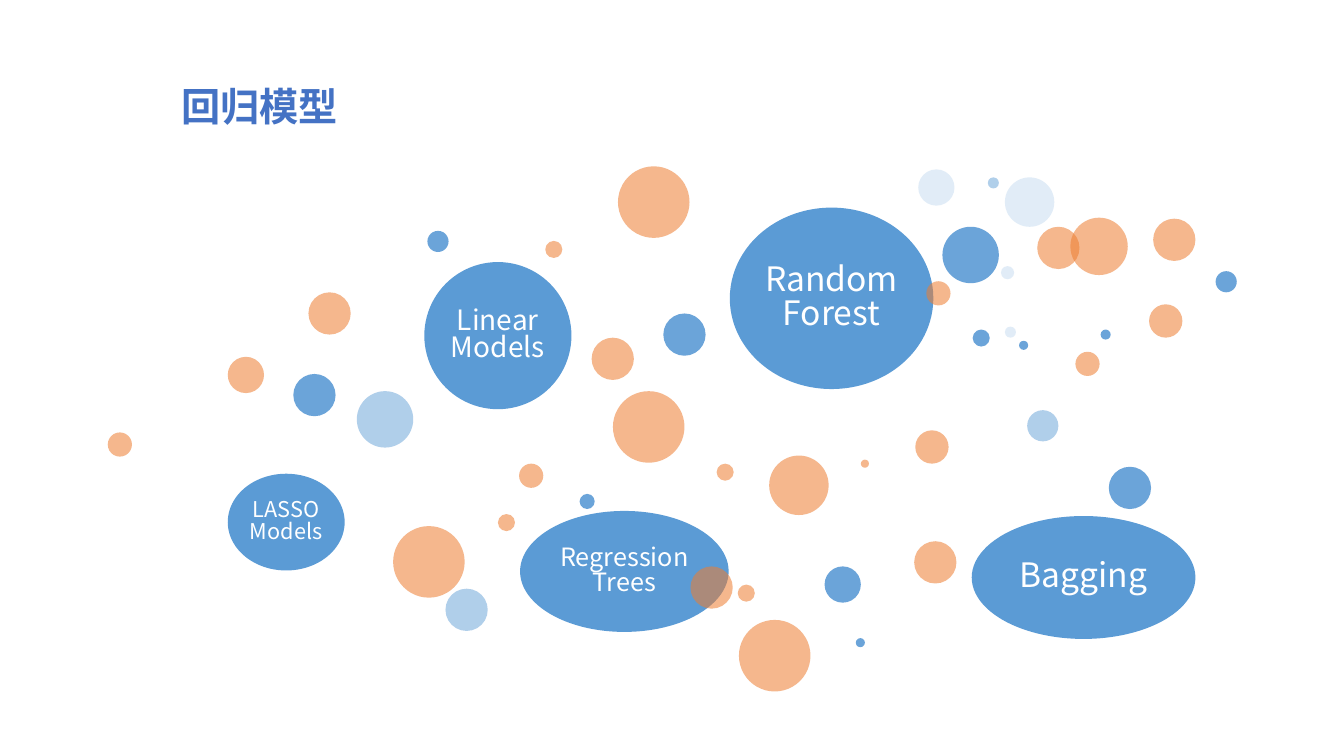
"""Build a slide of regression model bubbles among scattered dots."""
from lxml.etree import SubElement
from pptx import Presentation
from pptx.dml.color import RGBColor
from pptx.enum.shapes import MSO_SHAPE
from pptx.enum.text import MSO_ANCHOR, PP_ALIGN
from pptx.oxml.ns import qn
from pptx.util import Pt

THEME = {
    "font": "Noto Sans CJK SC",
    "blue": "5B9BD5",
    "orange": "ED7D31",
    "title": "4472C4",
    "label": "FFFFFF",
    "title_size": 28,
    "label_sizes": {"small": 15.5, "medium": 18, "large": 20, "huge": 24},
    "label_spacing": 0.83,
}

SLIDE_SIZE = (960, 540)
TITLE = ("回归模型", (122.4, 38.2, 594.7, 74.9))

MODELS = [
    ("LASSO Models", "small", (162.7, 338.4, 83.5, 69.1)),
    ("Linear Models", "large", (303.1, 187.2, 105.1, 105.1)),
    ("Regression Trees", "medium", (371.5, 365, 149, 86.4)),
    ("Random\nForest", "huge", (521.3, 148.3, 145.4, 129.6)),
    ("Bagging", "huge", (694.1, 368.6, 159.8, 87.8)),
]

# (colour, opacity %) -> diameter -> top left corners
DOTS = {
    ("orange", 55): {
        5.8: [(614.9, 328.3)],
        12.2: [(355.7, 367.2), (389.5, 172.1), (527, 417.6), (511.9, 331.2)],
        17.3: [(77, 308.9), (370.8, 331.2), (768.2, 251.3), (661.7, 200.9)],
        23.8: [(820.8, 217.4), (653.8, 307.4)],
        25.9: [(162.7, 254.9)],
        30.2: [(220.3, 208.8), (493.2, 404.6), (740.9, 162),
               (422.6, 241.2), (653, 386.6), (823.7, 156.2)],
        41: [(764.6, 155.5)],
        42.5: [(549.4, 325.4)],
        51.1: [(437.8, 279.4), (441.4, 118.8), (280.8, 375.8), (527.8, 442.8)],
    },
    ("blue", 90): {
        6.5: [(611.3, 455.8), (727.9, 243.4)],
        7.2: [(786.2, 235.4)],
        10.8: [(414, 352.8)],
        12.2: [(694.8, 235.4)],
        15.1: [(305.3, 164.9), (868.3, 193.7)],
        25.9: [(589, 404.6)],
        30.2: [(209.5, 267.1), (473.8, 223.9), (792, 333.4)],
        40.3: [(673.2, 162)],
    },
    ("blue", 48): {
        7.9: [(705.6, 126.7)],
        22.3: [(733.7, 293)],
        30.2: [(318.2, 420.5)],
        40.3: [(254.9, 279.4)],
    },
    ("blue", 18): {
        7.9: [(717.8, 233.3)],
        9.4: [(715, 190.1)],
        25.9: [(655.9, 121)],
        35.3: [(717.8, 126.7)],
    },
}


def add_run(paragraph, text, size, color, bold=False):
    run = paragraph.add_run()
    run.text = text
    run.font.name = THEME["font"]
    run.font.size = Pt(size)
    run.font.bold = bold
    run.font.color.rgb = RGBColor.from_string(THEME[color])
    SubElement(run.font._element, qn("a:ea"), typeface=THEME["font"])


def add_ellipse(slide, box, color, opacity=100):
    ellipse = slide.shapes.add_shape(MSO_SHAPE.OVAL, *map(Pt, box))
    ellipse.shadow.inherit = False
    ellipse.line.fill.background()
    ellipse.fill.solid()
    ellipse.fill.fore_color.rgb = RGBColor.from_string(THEME[color])
    if opacity < 100:
        tint = ellipse._element.spPr.find(qn("a:solidFill"))[0]
        SubElement(tint, qn("a:alpha"), val=str(opacity * 1000))
    return ellipse


def add_model(slide, name, size, box):
    frame = add_ellipse(slide, box, "blue").text_frame
    frame.word_wrap = True
    frame.vertical_anchor = MSO_ANCHOR.MIDDLE
    frame.margin_left = frame.margin_right = Pt(0)
    frame.margin_top = frame.margin_bottom = Pt(0)
    label = frame.paragraphs[0]
    label.alignment = PP_ALIGN.CENTER
    label.line_spacing = THEME["label_spacing"]
    for index, line in enumerate(name.split("\n")):
        if index:
            label.add_line_break()
        add_run(label, line, THEME["label_sizes"][size], "label")


def add_title(slide, text, box):
    frame = slide.shapes.add_textbox(*map(Pt, box)).text_frame
    frame.word_wrap = True
    frame.vertical_anchor = MSO_ANCHOR.MIDDLE
    add_run(frame.paragraphs[0], text, THEME["title_size"], "title", bold=True)


def main():
    deck = Presentation()
    deck.slide_width, deck.slide_height = map(Pt, SLIDE_SIZE)
    slide = deck.slides.add_slide(deck.slide_layouts[6])
    for model in MODELS:
        add_model(slide, *model)
    for (color, opacity), sizes in DOTS.items():
        for diameter, corners in sizes.items():
            for left, top in corners:
                add_ellipse(slide, (left, top, diameter, diameter), color, opacity)
    add_title(slide, *TITLE)
    deck.save("out.pptx")


if __name__ == "__main__":
    main()
